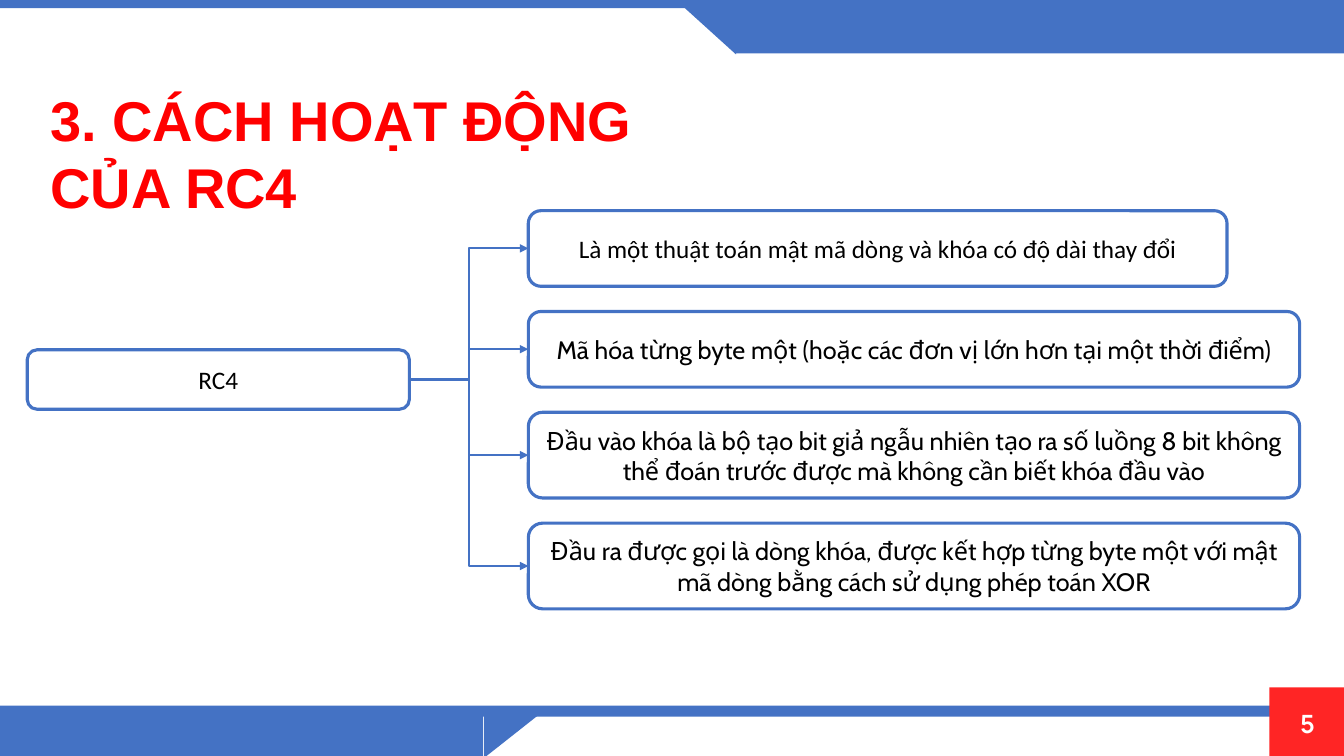
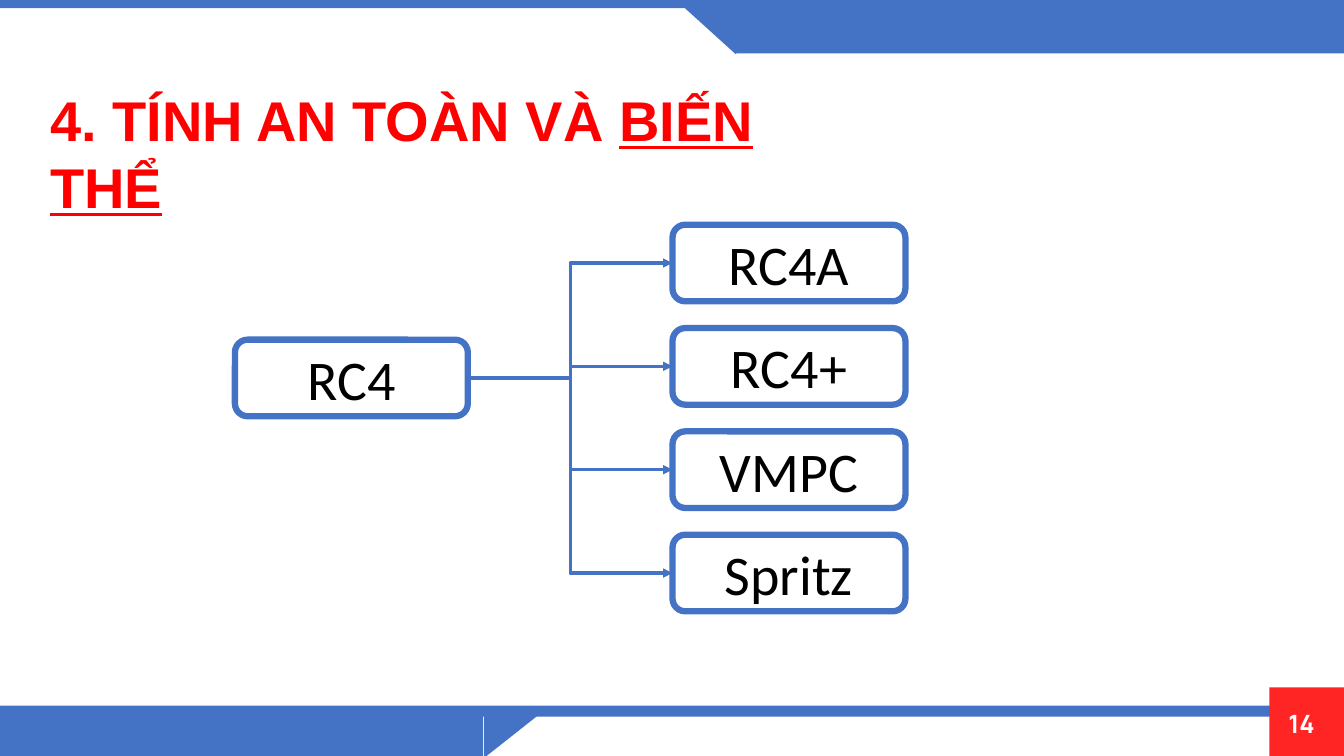
import pptx
import pptx.util
import pptx.oxml
import pptx.oxml.ns
import pptx.dml.color
import pptx.enum.shapes
import pptx.enum.text
from dataclasses import dataclass

Inches, Pt = pptx.util.Inches, pptx.util.Pt
SHAPE = pptx.enum.shapes.MSO_SHAPE
ELBOW = pptx.enum.shapes.MSO_CONNECTOR.ELBOW
ALIGN = pptx.enum.text.PP_ALIGN
MIDDLE = pptx.enum.text.MSO_ANCHOR.MIDDLE
NO_FIT = pptx.enum.text.MSO_AUTO_SIZE.NONE


@dataclass(frozen=True)
class Theme:
    blue: str = "4472C4"
    red: str = "FF2525"
    white: str = "FFFFFF"
    title: tuple = ("Arial", 40, "FF0000", True)
    number: tuple = ("Manrope", 18, "FFFFFF", True)
    node: str = "000000"


THEME = Theme()
W, H = 13.33, 7.5

# Shared bands: shape, left, top, width, height, rotation, colour
BANDS = [
    (SHAPE.RECTANGLE, 0, 0, W, 0.08, 0, THEME.blue),
    (SHAPE.RECTANGLE, 7.3, 0.06, W - 7.3, 0.47, 0, THEME.blue),
    (SHAPE.RIGHT_TRIANGLE, 6.77, 0.06, 0.53, 0.48, 180, THEME.blue),
    (SHAPE.RECTANGLE, 0, 7, W, 0.11, 0, THEME.blue),
    (SHAPE.RECTANGLE, 0, 7.09, 4.79, H - 7.09, 0, THEME.blue),
    (SHAPE.RIGHT_TRIANGLE, 4.86, 7.01, 0.45, 0.57, 90, THEME.blue),
    (SHAPE.RECTANGLE, W - 0.74, 6.82, 0.74, H - 6.82, 0, THEME.red),
]

# Each tree: a root box and a stack of branches (text, font, width, height)
SLIDES = [
    dict(number="5", title=[("3. CÁCH HOẠT ĐỘNG CỦA RC4", False)], title_width=7.25,
         root=("RC4", "Calibri", 3.79, 0.59), root_at=(0.27, 3.47),
         stack_at=(5.24, 2.09), gap=0.25, size=18, border=2.25, arrow=1.5,
         branches=[
             ("Là một thuật toán mật mã dòng và khóa có độ dài thay đổi",
              "Calibri", 6.93, 0.75),
             ("Mã hóa từng byte một (hoặc các đơn vị lớn hơn tại một thời điểm)",
              "Cabin", 7.65, 0.75),
             ("Đầu vào khóa là bộ tạo bit giả ngẫu nhiên tạo ra số luồng 8 bit không "
              "thể đoán trước được mà không cần biết khóa đầu vào", "Cabin", 7.65, 0.85),
             ("Đầu ra được gọi là dòng khóa, được kết hợp từng byte một với mật "
              "mã dòng bằng cách sử dụng phép toán XOR", "Cabin", 7.65, 0.85),
         ]),
    dict(number="14", title=[("4. TÍNH AN TOÀN VÀ ", False), ("BIẾN THỂ", True)],
         title_width=8.1,
         root=("RC4", "Calibri", 2.31, 0.76), root_at=(2.33, 3.37),
         stack_at=(6.67, 2.23), gap=0.265, size=40, border=4.5, arrow=2.25,
         branches=[(name, "Calibri", 2.31, 0.76)
                   for name in ("RC4A", "RC4+", "VMPC", "Spritz")]),
]


def rgb(value):
    return pptx.dml.color.RGBColor.from_string(value)


def add_run(p, text, font, size, color, bold=False, underline=None):
    r = p.add_run()
    r.text = text
    for key, value in dict(name=font, size=Pt(size), bold=bold, underline=underline).items():
        setattr(r.font, key, value)
    r.font.color.rgb = rgb(color)


def add_filled(s, kind, x, y, w, h, fill):
    sp = s.shapes.add_shape(kind, Inches(x), Inches(y), Inches(w), Inches(h))
    sp.shadow.inherit = False
    sp.fill.solid()
    sp.fill.fore_color.rgb = rgb(fill)
    return sp


def add_bands(s, layout):
    """Draw the bands and hand them to the layout that all slides use."""
    for kind, x, y, w, h, rotation, color in BANDS:
        sp = add_filled(s, kind, x, y, w, h, color)
        sp.line.fill.background()
        sp.rotation = rotation
        layout.shapes.element.append(sp.element)


def add_title(s, runs, width):
    sp = s.shapes.title
    sp.left, sp.top, sp.width, sp.height = map(Inches, (0.4, 0.95, width, 1.13))
    tf = sp.text_frame
    tf.auto_size, tf.vertical_anchor, tf.word_wrap = NO_FIT, MIDDLE, True
    p = tf.paragraphs[0]
    p.alignment = ALIGN.LEFT
    for text, underline in runs:
        add_run(p, text, *THEME.title, underline=underline or None)


def add_number(s, number):
    tf = s.shapes.add_textbox(*map(Inches, (12.67, 6.98, 0.37, 0.46))).text_frame
    tf.word_wrap = True
    tf.margin_left = tf.margin_right = tf.margin_bottom = 0
    tf.margin_top = Inches(0.08)
    p = tf.paragraphs[0]
    p.alignment, p.line_spacing, p.space_before = ALIGN.RIGHT, 0.9, Pt(10)
    add_run(p, number, *THEME.number)


def add_node(s, x, y, node, size, border):
    text, font, w, h = node
    sp = add_filled(s, SHAPE.ROUNDED_RECTANGLE, x, y, w, h, THEME.white)
    sp.line.color.rgb = rgb(THEME.blue)
    sp.line.width = Pt(border)
    tf = sp.text_frame
    tf.word_wrap, tf.vertical_anchor = True, MIDDLE
    p = tf.paragraphs[0]
    p.alignment = ALIGN.CENTER
    add_run(p, text, font, size, THEME.node)
    return sp


def add_arrow(s, start, end, width):
    c = s.shapes.add_connector(ELBOW, start.left + start.width, start.top + start.height // 2,
                               end.left, end.top + end.height // 2)
    c.begin_connect(start, 3)
    c.end_connect(end, 1)
    c.line.color.rgb = rgb(THEME.blue)
    c.line.width = Pt(width)
    qn, make = pptx.oxml.ns.qn, pptx.oxml.parse_xml
    ns = pptx.oxml.ns.nsdecls("a")
    sp_pr = c.element.find(qn("p:spPr"))
    sp_pr.find(qn("a:ln")).append(make(f'<a:tailEnd {ns} type="triangle"/>'))
    sp_pr.append(make(f"<a:effectLst {ns}/>"))


def add_tree(s, data):
    size, border = data["size"], data["border"]
    root = add_node(s, *data["root_at"], data["root"], size, border)
    x, y = data["stack_at"]
    for branch in data["branches"]:
        add_arrow(s, root, add_node(s, x, y, branch, size, border), data["arrow"])
        y += branch[3] + data["gap"]


def main():
    prs = pptx.Presentation()
    prs.slide_width, prs.slide_height = Inches(W), Inches(H)
    layout = prs.slide_layouts.get_by_name("Title Only")
    for i, data in enumerate(SLIDES):
        s = prs.slides.add_slide(layout)
        if i == 0:
            add_bands(s, layout)
        add_title(s, data["title"], data["title_width"])
        add_number(s, data["number"])
        add_tree(s, data)
    prs.save("out.pptx")


if __name__ == "__main__":
    main()
